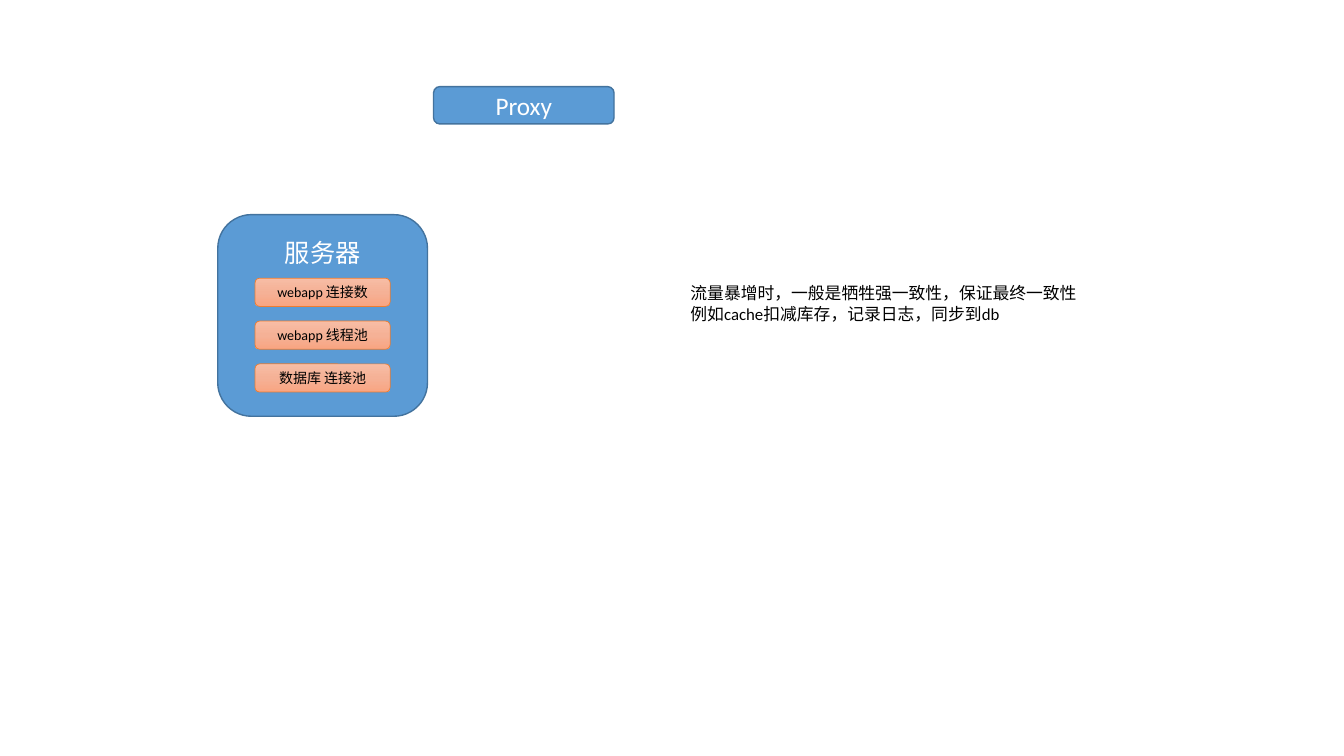
from copy import deepcopy

from pptx import Presentation
from pptx.dml.color import RGBColor
from pptx.enum.shapes import MSO_SHAPE
from pptx.enum.text import MSO_ANCHOR, PP_ALIGN
from pptx.oxml.ns import qn
from pptx.util import Inches, Pt

BLUE, BLUE_EDGE, ORANGE_EDGE = "5B9BD5", "43739E", "ED7D31"
POOL_GRADIENT = ["F7BDA5", "F5B196", "F8A582"]
WHITE, BLACK = "FFFFFF", "000000"


def rgb(color):
    """Turn a hex string into a colour."""
    return RGBColor.from_string(color)


def write(frame, lines, size, color, align):
    """Fill a text frame with one paragraph per line."""
    frame.word_wrap = True
    for i, line in enumerate(lines):
        paragraph = frame.paragraphs[0] if i == 0 else frame.add_paragraph()
        paragraph.alignment = align
        run = paragraph.add_run()
        run.text = line
        run.font.name = "Calibri"
        run.font.size = Pt(size)
        run.font.color.rgb = rgb(color)


def fill_gradient(shape, colors):
    """Fill a shape from top to bottom with three evenly spaced colours."""
    shape.fill.gradient()
    shape.fill.gradient_angle = 270
    first_stop = next(shape._element.spPr.iter(qn("a:gs")))
    first_stop.addnext(deepcopy(first_stop))
    for i, (stop, color) in enumerate(zip(shape.fill.gradient_stops, colors)):
        stop.position = i / (len(colors) - 1)
        stop.color.rgb = rgb(color)


def rounded_box(slide, box, label, size, color, edge, edge_width):
    """Draw a rounded box with a centred label and a blue fill."""
    shape = slide.shapes.add_shape(MSO_SHAPE.ROUNDED_RECTANGLE, *map(Inches, box))
    shape.shadow.inherit = False
    shape.fill.solid()
    shape.fill.fore_color.rgb = rgb(BLUE)
    shape.line.color.rgb = rgb(edge)
    shape.line.width = Pt(edge_width)
    shape.text_frame.vertical_anchor = MSO_ANCHOR.MIDDLE
    write(shape.text_frame, [label], size, color, PP_ALIGN.CENTER)
    return shape


def proxy(slide, box):
    """Draw the entry point in front of the server."""
    rounded_box(slide, box, "Proxy", 18, WHITE, BLUE_EDGE, 1)


def server(slide, box, pools):
    """Draw the server with its title and a column of limited pools."""
    left, top, width, _ = box
    panel = rounded_box(slide, box, "服务器", 18, WHITE, BLUE_EDGE, 1)
    panel.text_frame.vertical_anchor = MSO_ANCHOR.TOP
    panel.text_frame.margin_top = Inches(0.13)
    pool_width, pool_height, pitch = 1.34, 0.28, 0.425
    pool_left = left + (width - pool_width) / 2
    for i, label in enumerate(pools):
        pool_box = (pool_left, top + 0.63 + i * pitch, pool_width, pool_height)
        pool = rounded_box(slide, pool_box, label, 10, BLACK, ORANGE_EDGE, 0.5)
        fill_gradient(pool, POOL_GRADIENT)


def consistency_note(slide, box):
    """Write the note on consistency under heavy traffic."""
    note = slide.shapes.add_textbox(*map(Inches, box))
    lines = ["流量暴增时，一般是牺牲强一致性，保证最终一致性",
             "例如cache扣减库存，记录日志，同步到db"]
    write(note.text_frame, lines, 12, BLACK, PP_ALIGN.LEFT)


def main():
    """Build the slide and save it."""
    deck = Presentation()
    deck.slide_width, deck.slide_height = Inches(13.33), Inches(7.5)
    slide = deck.slides.add_slide(deck.slide_layouts[6])
    proxy(slide, (4.3, 0.86, 1.79, 0.37))
    server(slide, (2.16, 2.13, 2.08, 2),
           ["webapp 连接数", "webapp 线程池", "数据库 连接池"])
    consistency_note(slide, (6.75, 2.76, 4.06, 0.5))
    deck.save("out.pptx")


main()
